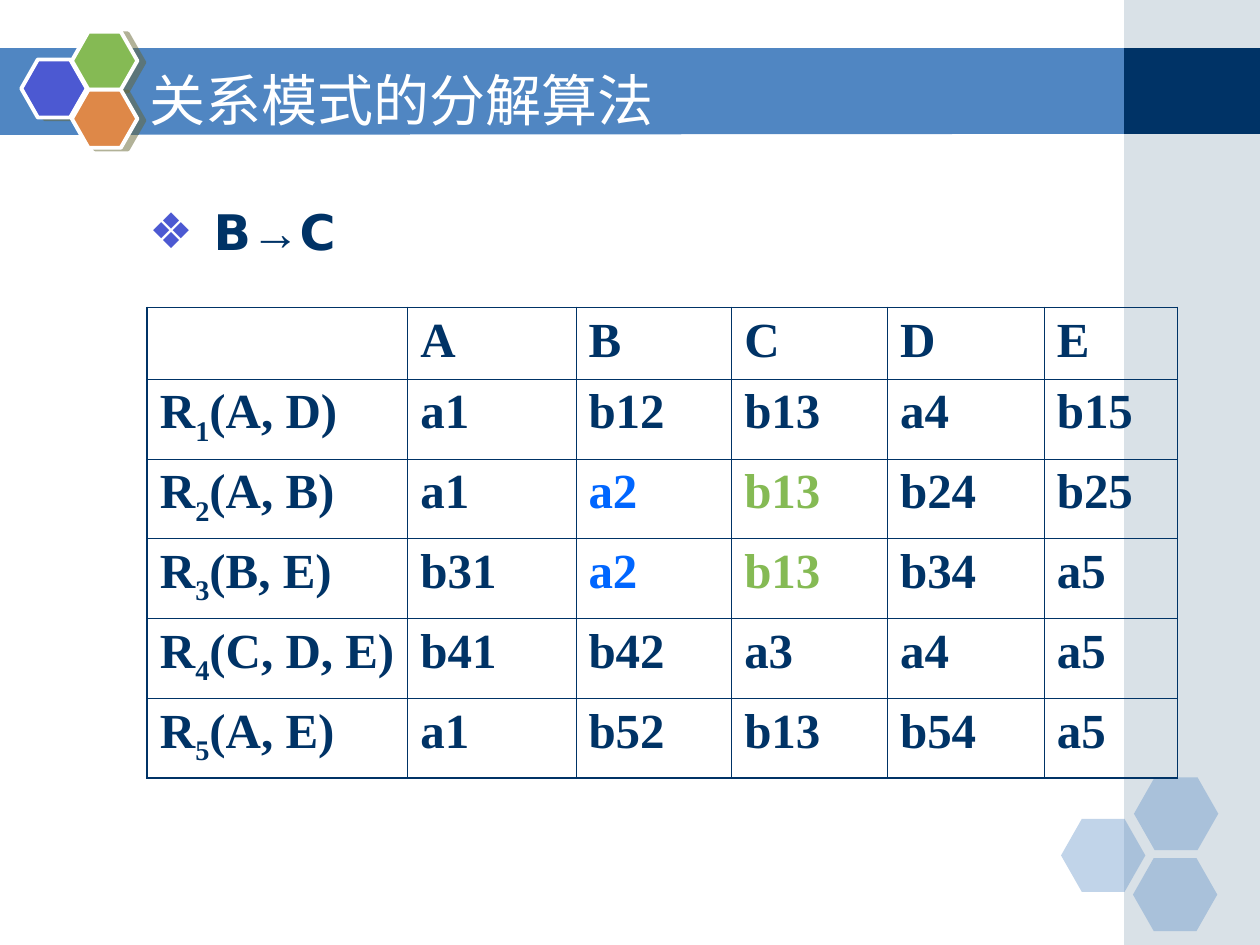
from dataclasses import dataclass

from lxml.etree import SubElement
from pptx import Presentation
from pptx.dml.color import RGBColor
from pptx.enum.shapes import MSO_SHAPE
from pptx.enum.text import MSO_ANCHOR, MSO_AUTO_SIZE, PP_ALIGN
from pptx.oxml.ns import qn
from pptx.util import Cm, Pt


@dataclass(frozen=True)
class Theme:
    navy: str = "003366"
    band: str = "5086C2"
    side: str = "A0B5C4"
    violet: str = "4C59D2"
    green: str = "85BA54"
    orange: str = "DE8848"
    blue: str = "0066FF"
    white: str = "FFFFFF"
    shadow: str = "666633"
    title_size: float = 32
    text_size: float = 28
    sans: str = "DejaVu Sans"
    symbol: str = "Arial"
    serif: str = "Times New Roman"
    thin: float = 0.45
    thick: float = 1.08


T = Theme()

HEADER = ["", "A", "B", "C", "D", "E"]
ROWS = [
    ["(A, D)", "a1", "b12", "b13", "a4", "b15"],
    ["(A, B)", "a1", "a2", "b13", "b24", "b25"],
    ["(B, E)", "b31", "a2", "b13", "b34", "a5"],
    ["(C, D, E)", "b41", "b42", "a3", "a4", "a5"],
    ["(A, E)", "a1", "b52", "b13", "b54", "a5"],
]
HIGHLIGHTS = {(r, c): color for r in (2, 3) for c, color in ((2, T.blue), (3, T.green))}
COL_WIDTHS = [5.25, 3.39, 3.14, 3.14, 3.16, 2.69]
HEADER_HEIGHT, ROW_HEIGHT = 1.44, 1.61


def set_alpha(fill_parent, percent):
    color = fill_parent.find(".//" + qn("a:srgbClr"))
    SubElement(color, qn("a:alpha")).set("val", str(percent * 1000))


def paint(sp, color, alpha=None):
    sp.shadow.inherit = False
    sp.fill.solid()
    sp.fill.fore_color.rgb = RGBColor.from_string(color)
    sp.line.fill.background()
    if alpha:
        set_alpha(sp._element.spPr, alpha)


def add_shape(shapes, kind, x, y, w, h, color, alpha=None):
    sp = shapes.add_shape(kind, Cm(x), Cm(y), Cm(w), Cm(h))
    paint(sp, color, alpha)
    return sp


def style_run(r, font, size, color, bold=False):
    r.font.name = font
    r.font.size = Pt(size)
    r.font.bold = bold
    r.font.color.rgb = RGBColor.from_string(color)
    SubElement(r._r.get_or_add_rPr(), qn("a:ea")).set("typeface", font)


def add_band(s, x, y, w, h):
    """Title band, whose right end is slightly shorter than its left."""
    builder = s.shapes.build_freeform(Cm(x), Cm(y))
    builder.add_line_segments(
        [(Cm(x + w), Cm(y)), (Cm(x + w), Cm(y + h - 0.02)), (Cm(x), Cm(y + h))])
    paint(builder.convert_to_shape(), T.band)


def add_side_panel(s, x, y, w, h):
    group = s.shapes.add_group_shape()
    add_shape(group.shapes, MSO_SHAPE.RECTANGLE, x, y, w, h, T.side, 40)
    add_shape(group.shapes, MSO_SHAPE.RECTANGLE, x, y + 0.97, w, 1.73, T.navy)


def add_hexagons(shapes, x, y, w, h, offsets, colors, alpha=None):
    hexagons = []
    for (dx, dy), color in zip(offsets, colors):
        sp = add_shape(shapes, MSO_SHAPE.HEXAGON, x + dx, y + dy, w, h, color, alpha)
        sp.adjustments[0] = 0.285
        hexagons.append(sp)
    return hexagons


def add_corner_hexagons(s, x, y):
    add_hexagons(s.shapes, x, y, 1.7, 1.47,
                 [(0, 0.84), (1.47, 0), (1.45, 1.63)], [T.band] * 3, 35)


def add_title_hexagons(s, x, y):
    group = s.shapes.add_group_shape()
    for sp in add_hexagons(group.shapes, x, y, 1.32, 1.17,
                           [(0, 0.56), (1.02, 0), (1.02, 1.17)],
                           [T.violet, T.green, T.orange]):
        sp.line.color.rgb = RGBColor.from_string(T.white)
        sp.line.width = Pt(2.25)
        effects = sp._element.spPr.find(qn("a:effectLst"))
        shadow = SubElement(effects, qn("a:outerShdw"), blurRad="0",
                            dist=str(Pt(4.1)), dir=str(14 * 60000), algn="ctr",
                            rotWithShape="0")
        SubElement(shadow, qn("a:srgbClr"), val=T.shadow)
        set_alpha(effects, 50)


def place(s, sp, x, y, w, h, anchor):
    """Move a placeholder to its box, in front of what is already drawn."""
    s.shapes._spTree.append(sp._element)
    sp.left, sp.top, sp.width, sp.height = Cm(x), Cm(y), Cm(w), Cm(h)
    tf = sp.text_frame
    tf.word_wrap = True
    tf.auto_size = MSO_AUTO_SIZE.NONE
    tf.vertical_anchor = anchor
    return tf


def fill_title(s, x, y, w, h):
    tf = place(s, s.shapes.title, x, y, w, h, MSO_ANCHOR.MIDDLE)
    tf.text = "关系模式的分解算法"
    p = tf.paragraphs[0]
    p.alignment = PP_ALIGN.LEFT
    style_run(p.runs[0], T.sans, T.title_size, T.white)


def fill_body(s, x, y, w, h):
    tf = place(s, s.placeholders[1], x, y, w, h, MSO_ANCHOR.TOP)
    p = tf.paragraphs[0]
    p.space_before = Pt(0)
    pPr = p._p.get_or_add_pPr()
    indent = Cm(1.3)
    pPr.set("marL", str(indent))
    pPr.set("indent", str(-indent))
    SubElement(SubElement(pPr, qn("a:buClr")), qn("a:srgbClr"), val=T.violet)
    SubElement(pPr, qn("a:buFont"), typeface=T.sans)
    SubElement(pPr, qn("a:buChar"), char="❖")
    for text, font in (("B", T.sans), ("→", T.symbol), ("C", T.sans)):
        r = p.add_run()
        r.text = text
        style_run(r, font, T.text_size, T.navy, True)


def set_borders(cell, widths):
    tcPr = cell._tc.get_or_add_tcPr()
    for i, (side, width) in enumerate(widths.items()):
        ln = SubElement(tcPr, qn("a:" + side), w=str(Pt(width)))
        SubElement(SubElement(ln, qn("a:solidFill")), qn("a:srgbClr"), val=T.navy)
        tcPr.insert(i, ln)


def fill_cell(cell, parts, color):
    """Write the parts as runs; every second one is a subscript."""
    cell.fill.background()
    p = cell.text_frame.paragraphs[0]
    for i, text in enumerate(parts):
        r = p.add_run()
        r.text = text
        style_run(r, T.serif, T.text_size, color, True)
        if i % 2:
            r._r.get_or_add_rPr().set("baseline", "-25000")


def add_tableau(s, x, y):
    heights = [HEADER_HEIGHT] + [ROW_HEIGHT] * len(ROWS)
    n_rows, n_cols = len(heights), len(COL_WIDTHS)
    table = s.shapes.add_table(n_rows, n_cols, Cm(x), Cm(y),
                               Cm(sum(COL_WIDTHS)), Cm(sum(heights))).table
    table.first_row = table.horz_banding = False
    for column, width in zip(table.columns, COL_WIDTHS):
        column.width = Cm(width)
    for row, height in zip(table.rows, heights):
        row.height = Cm(height)
    for r, values in enumerate([HEADER] + ROWS):
        for c, value in enumerate(values):
            parts = ["R", str(r), value] if r and c == 0 else [value] if value else []
            cell = table.cell(r, c)
            fill_cell(cell, parts, HIGHLIGHTS.get((r, c), T.navy))
            outer = {"lnL": c == 0, "lnR": c == n_cols - 1,
                     "lnT": r == 0, "lnB": r == n_rows - 1}
            set_borders(cell, {k: T.thick if v else T.thin for k, v in outer.items()})


def main():
    prs = Presentation()
    prs.slide_width, prs.slide_height = Cm(25.4), Cm(19.05)
    s = prs.slides.add_slide(prs.slide_layouts[1])
    add_band(s, -0.03, 0.97, 22.76, 1.75)
    add_side_panel(s, 22.66, 0, 2.74, 19.05)
    add_corner_hexagons(s, 21.39, 15.67)
    add_title_hexagons(s, 0.43, 0.64)
    fill_title(s, 2.75, 1.27, 21.6, 1.45)
    fill_body(s, 2.75, 3.94, 10.6, 11.43)
    add_tableau(s, 2.97, 6.2)
    prs.save("out.pptx")


if __name__ == "__main__":
    main()
